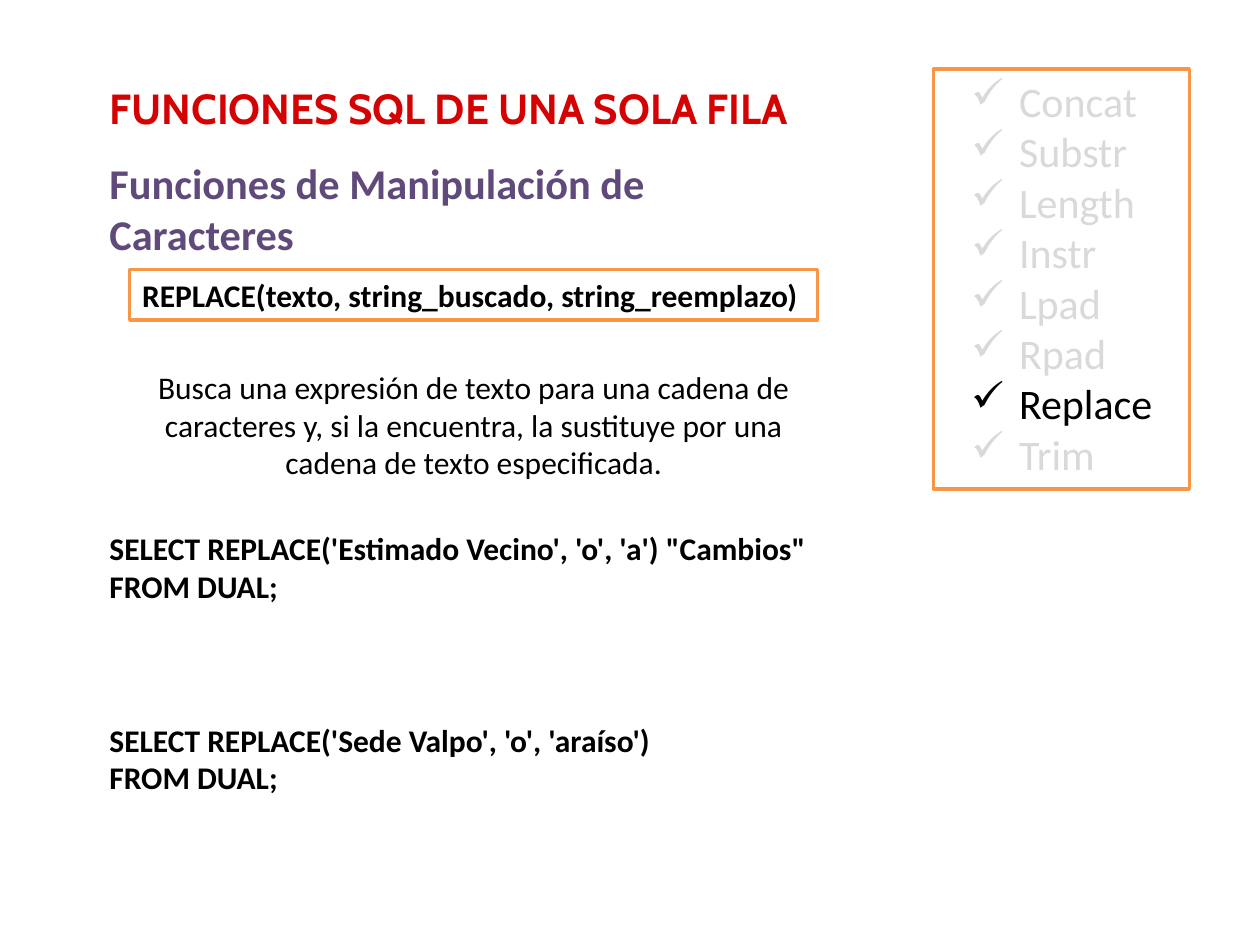
from lxml import etree
from pptx import Presentation
from pptx.dml.color import RGBColor
from pptx.enum.shapes import MSO_SHAPE
from pptx.enum.text import MSO_ANCHOR, PP_ALIGN
from pptx.oxml.ns import qn
from pptx.util import Inches, Pt

RED = RGBColor(0xD4, 0x02, 0x02)
PURPLE = RGBColor(0x60, 0x4A, 0x7B)
ORANGE = RGBColor(0xF7, 0x96, 0x46)
GREY = RGBColor(0xD9, 0xD9, 0xD9)
BLACK = RGBColor(0, 0, 0)
WHITE = RGBColor(0xFF, 0xFF, 0xFF)
RECTANGLE = MSO_SHAPE.RECTANGLE
TOP, MIDDLE = MSO_ANCHOR.TOP, MSO_ANCHOR.MIDDLE
LEFT, CENTER = PP_ALIGN.LEFT, PP_ALIGN.CENTER


def write(box, lines, size, color=BLACK, bold=True, align=LEFT, anchor=TOP, font="Calibri"):
    frame = box.text_frame
    frame.word_wrap = True
    frame.vertical_anchor = anchor
    frame.text = "\n".join(lines)
    for para in frame.paragraphs:
        para.alignment = align
        para.font.name = font
        para.font.size = Pt(size)
        para.font.bold = bold
        para.font.color.rgb = color


def add_framed_box(left, top, width, height):
    box = slide.shapes.add_shape(
        RECTANGLE, Inches(left), Inches(top), Inches(width), Inches(height))
    box.shadow.inherit = False
    box.fill.solid()
    box.fill.fore_color.rgb = WHITE
    box.line.color.rgb = ORANGE
    box.line.width = Pt(2)
    return box


deck = Presentation()
deck.slide_width, deck.slide_height = Inches(10), Inches(7.5)
slide = deck.slides.add_slide(deck.slide_layouts[5])

# Title
title = slide.shapes.title
title.left, title.top = Inches(0.77), Inches(0.5)
title.width, title.height = Inches(7.92), Inches(0.71)
write(title, ["FUNCIONES SQL DE UNA SOLA FILA"], 24, RED, anchor=MIDDLE, font="Cabin")

# Subtitle
subtitle = slide.shapes.add_textbox(Inches(0.77), Inches(1.39), Inches(5.98), Inches(0.52))
write(subtitle, ["Funciones de Manipulación de Caracteres"], 24.2, PURPLE, anchor=MIDDLE)

# Checklist of functions, with the current one in black
functions = ["Concat", "Substr", "Length", "Instr", "Lpad", "Rpad", "Replace", "Trim"]
checklist = add_framed_box(7.41, 0.55, 2.03, 3.33)
write(checklist, functions, 24, GREY, bold=False)
for para in checklist.text_frame.paragraphs:
    properties = para._p.get_or_add_pPr()
    properties.set("marL", str(Inches(0.58)))
    properties.set("indent", str(Inches(-0.38)))
    bullet = etree.Element(qn("a:buChar"), char="✓")
    properties.find(qn("a:defRPr")).addprevious(bullet)
    if para.text == "Replace":
        para.font.color.rgb = BLACK

# Syntax
syntax = add_framed_box(1.03, 2.14, 5.46, 0.4)
write(syntax, ["REPLACE(texto, string_buscado, string_reemplazo)"], 18)

# Description
description = slide.shapes.add_textbox(Inches(0.94), Inches(2.87), Inches(5.64), Inches(1.01))
write(description, [
    "Busca una expresión de texto para una cadena de caracteres y, si la "
    "encuentra, la sustituye por una cadena de texto especificada."],
    18, bold=False, align=CENTER)

# Example queries
queries = [
    (4.15, 6.12, "SELECT REPLACE('Estimado Vecino', 'o', 'a') \"Cambios\""),
    (5.67, 5, "SELECT REPLACE('Sede Valpo', 'o', 'araíso')"),
]
for top, width, select in queries:
    query = slide.shapes.add_textbox(Inches(0.77), Inches(top), Inches(width), Inches(0.71))
    write(query, [select, "FROM DUAL;"], 18)

deck.save("out.pptx")
